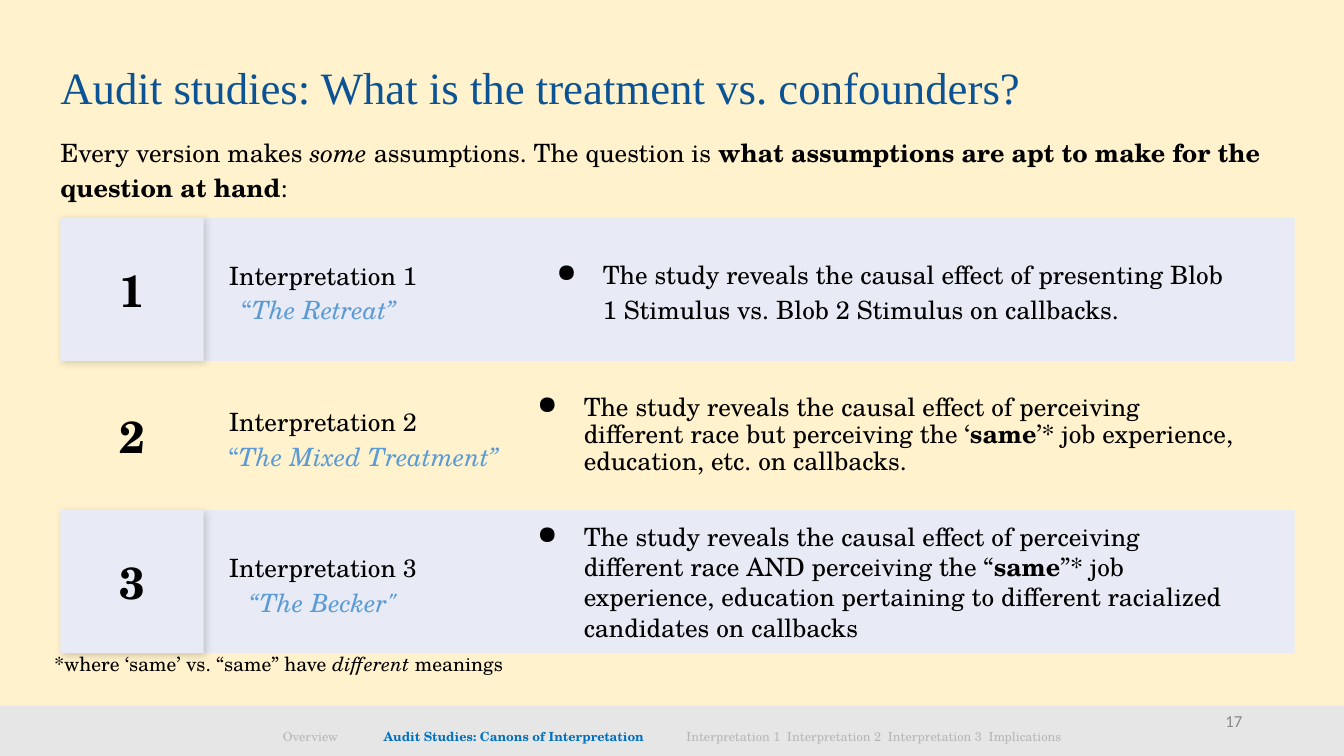
"""Builds the slide on three interpretations of audit studies."""
from lxml import etree
from pptx import Presentation
from pptx.dml.color import RGBColor
from pptx.enum.shapes import MSO_SHAPE
from pptx.enum.text import MSO_ANCHOR, PP_ALIGN
from pptx.oxml.ns import qn
from pptx.util import Inches, Pt

RECTANGLE = MSO_SHAPE.RECTANGLE
TOP, MIDDLE = MSO_ANCHOR.TOP, MSO_ANCHOR.MIDDLE
LEFT, CENTER, RIGHT = PP_ALIGN.LEFT, PP_ALIGN.CENTER, PP_ALIGN.RIGHT

COLORS = {
    "page": "FFF2CC", "footer": "E7E6E6", "band": "E8EBF5", "ink": "000000",
    "title": "0B5394", "nickname": "5B9BD5", "current": "0070C0",
    "section": "B7B7B7", "number": "888888",
}
SERIF = "TeX Gyre Schola"
ROW_TOP, ROW_PITCH, ROW_HEIGHT = 2.16, 1.45, 1.42
TILE_LEFT, BAND_RIGHT, BODY_RIGHT = 0.6, 12.84, 12.44
CELL_INSET = 0.13

INTERPRETATIONS = [
    {"nickname": [("“", ""), ("The Retreat”", "i")], "indent": 0.13,
     "body": [("The study reveals the causal effect of presenting Blob 1 Stimulus "
               "vs. Blob 2 Stimulus on callbacks.", "")],
     "body_left": 5.18, "spacing": 1.15, "before": 0, "banded": True},
    {"nickname": [("“", ""), ("The Mixed Treatment”", "i")], "indent": 0,
     "body": [("The study reveals the causal effect of perceiving different race "
               "but perceiving the ‘", ""), ("same", "b"),
              ("’* job experience, education, etc. on callbacks.", "")],
     "body_left": 4.99, "spacing": 0.9, "before": 10, "banded": False},
    {"nickname": [("“The Becker\"", "i")], "indent": 0.2,
     "body": [("The study reveals the causal effect of perceiving different race "
               "AND perceiving the “", ""), ("same", "b"),
              ("”* job experience, education pertaining to different racialized "
               "candidates on callbacks", "")],
     "body_left": 4.99, "spacing": 1.0, "before": 0, "banded": True},
]


def rgb(name):
    """Returns the named colour."""
    return RGBColor.from_string(COLORS[name])


def add_block(slide, left, top, width, height, color):
    """Adds a plain rectangle without outline or shadow."""
    block = slide.shapes.add_shape(
        RECTANGLE, Inches(left), Inches(top), Inches(width), Inches(height))
    block.shadow.inherit = False
    block.fill.solid()
    block.fill.fore_color.rgb = rgb(color)
    block.line.fill.background()
    return block


def cast_shadow(block):
    """Gives a block a soft shadow to the lower right."""
    effects = block._element.spPr.find(qn("a:effectLst"))
    shadow = etree.SubElement(
        effects, qn("a:outerShdw"), blurRad=str(Pt(5.6)), dist=str(Pt(2.2)),
        dir="2700000", algn="tl", rotWithShape="0")
    black = etree.SubElement(shadow, qn("a:srgbClr"), val=COLORS["ink"])
    etree.SubElement(black, qn("a:alpha"), val="17000")


def add_frame(slide, left, top, width, height, inset=0.1, inset_y=None, anchor=MIDDLE):
    """Adds a wrapping text box and returns its text frame."""
    frame = slide.shapes.add_textbox(
        Inches(left), Inches(top), Inches(width), Inches(height)).text_frame
    frame.word_wrap = True
    frame.vertical_anchor = anchor
    frame.margin_left = frame.margin_right = Inches(inset)
    frame.margin_top = frame.margin_bottom = Inches(inset if inset_y is None else inset_y)
    return frame


def format_paragraph(paragraph, spacing=1.0, before=0, align=LEFT, indent=0, first=0):
    """Sets the spacing, alignment and indents of a paragraph."""
    paragraph.line_spacing = spacing
    paragraph.space_before = Pt(before)
    paragraph.alignment = align
    properties = paragraph._p.get_or_add_pPr()
    properties.set("marL", str(Inches(indent)))
    properties.set("indent", str(Inches(first)))
    return properties


def add_runs(paragraph, runs, size, color="ink", font=SERIF):
    """Adds (text, style) runs, where style holds b for bold and i for italic."""
    for text, style in runs:
        run = paragraph.add_run()
        run.text = text
        run.font.name = font
        run.font.size = Pt(size)
        run.font.color.rgb = rgb(color)
        run.font.bold = "b" in style
        run.font.italic = "i" in style


def add_bullet(properties):
    """Puts a round bullet before a paragraph."""
    color = etree.SubElement(properties, qn("a:buClr"))
    etree.SubElement(color, qn("a:srgbClr"), val=COLORS["ink"])
    etree.SubElement(properties, qn("a:buChar"), char="●")


def add_interpretation(slide, number, row):
    """Adds one row: number tile, name with nickname, and bulleted reading."""
    top = ROW_TOP + (number - 1) * ROW_PITCH
    if row["banded"]:
        band_left = TILE_LEFT + ROW_HEIGHT
        add_block(slide, band_left, top, BAND_RIGHT - band_left, ROW_HEIGHT, "band")
        cast_shadow(add_block(slide, TILE_LEFT, top, ROW_HEIGHT, ROW_HEIGHT, "band"))

    tile = add_frame(slide, TILE_LEFT, top, ROW_HEIGHT, ROW_HEIGHT, CELL_INSET)
    format_paragraph(tile.paragraphs[0], align=CENTER)
    add_runs(tile.paragraphs[0], [(str(number), "b")], 32)

    heading = add_frame(slide, 2.14, top + 0.17, 3.98, 1.1, CELL_INSET)
    name, nickname = heading.paragraphs[0], heading.add_paragraph()
    format_paragraph(name, spacing=1.15)
    add_runs(name, [(f"Interpretation {number}", "")], 18)
    format_paragraph(nickname, spacing=1.15, indent=row["indent"])
    add_runs(nickname, row["nickname"], 18, "nickname")

    body_left = row["body_left"]
    body = add_frame(slide, body_left, top, BODY_RIGHT - body_left, ROW_HEIGHT, CELL_INSET)
    reading = body.paragraphs[0]
    add_bullet(format_paragraph(
        reading, row["spacing"], row["before"], indent=0.67, first=-0.46))
    add_runs(reading, row["body"], 18)


def add_header(slide):
    """Adds the title and the introductory sentence."""
    title = add_frame(slide, 0.5, 0.17, 12.33, 1.45, inset_y=0.05).paragraphs[0]
    format_paragraph(title, spacing=0.9)
    add_runs(title, [("Audit studies: What is the treatment vs. confounders?", "")],
             32, "title", "Times New Roman")

    intro = add_frame(slide, 0.5, 1.22, 12.23, 1.04, anchor=TOP).paragraphs[0]
    format_paragraph(intro, spacing=1.15, before=10)
    add_runs(intro, [
        ("Every version makes ", ""), ("some", "i"),
        (" assumptions. The question is ", ""),
        ("what assumptions are apt to make for the question at hand", "b"), (":", "")], 18)


def add_footer(slide):
    """Adds the footnote, the page number and the section trail."""
    footnote = add_frame(slide, -0.06, 6.39, 8.3, 0.41, anchor=TOP).paragraphs[0]
    format_paragraph(footnote, spacing=0.9, before=10, indent=0.5)
    add_runs(footnote, [("*where ‘same’ vs. “same” have ", ""), ("different", "i"),
                        (" meanings", "")], 14)

    page = add_frame(slide, 9.42, 6.95, 3, 0.4, inset_y=0.05).paragraphs[0]
    format_paragraph(page, align=RIGHT)
    add_runs(page, [("17", "")], 12, "number", "Calibri")

    trail = add_frame(slide, 0, 7.06, 13.33, 0.5).paragraphs[0]
    format_paragraph(trail, align=CENTER)
    add_runs(trail, [("Overview\t", "")], 9, "section")
    add_runs(trail, [("Audit Studies: Canons of Interpretation", "b")], 9, "current")
    add_runs(trail, [("\tInterpretation 1\tInterpretation 2\tInterpretation 3"
                      "\tImplications", "")], 9, "section")


def main():
    """Builds and saves the slide."""
    deck = Presentation()
    deck.slide_width, deck.slide_height = Inches(13.33), Inches(7.5)
    slide = deck.slides.add_slide(deck.slide_layouts[6])
    slide.background.fill.solid()
    slide.background.fill.fore_color.rgb = rgb("page")
    add_block(slide, 0, 7, 13.33, 0.5, "footer")
    add_header(slide)
    for number, row in enumerate(INTERPRETATIONS, start=1):
        add_interpretation(slide, number, row)
    add_footer(slide)
    deck.save("out.pptx")


if __name__ == "__main__":
    main()
